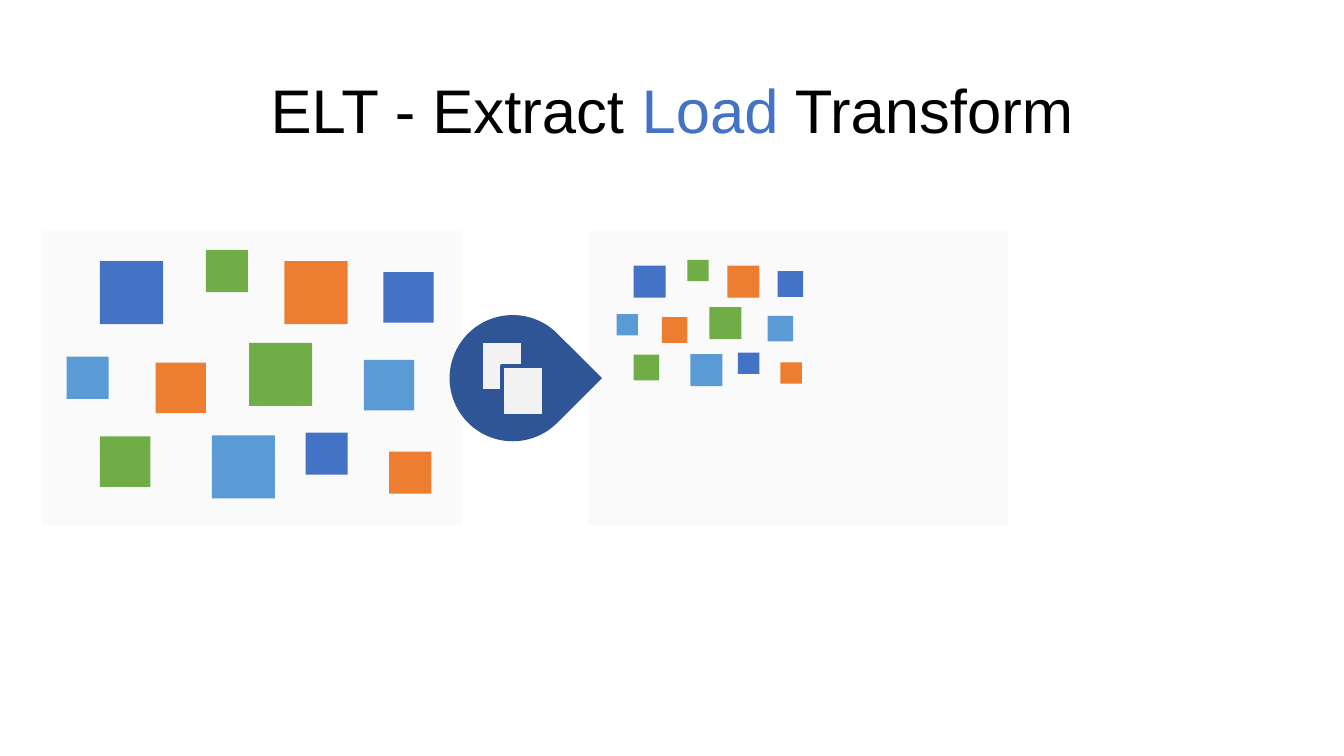
from pptx import Presentation
from pptx.dml.color import RGBColor
from pptx.enum.shapes import MSO_SHAPE as Preset
from pptx.enum.text import MSO_ANCHOR as Anchor, MSO_AUTO_SIZE as AutoSize, PP_ALIGN as Align
from pptx.util import Cm, Pt

BLACK = RGBColor(0x00, 0x00, 0x00)
BLUE = RGBColor(0x44, 0x72, 0xC4)
ORANGE = RGBColor(0xED, 0x7D, 0x31)
GREEN = RGBColor(0x70, 0xAD, 0x47)
SKY = RGBColor(0x5B, 0x9B, 0xD5)
NAVY = RGBColor(0x2F, 0x55, 0x97)
PANEL = RGBColor(0xFA, 0xFA, 0xFA)
CARD = RGBColor(0xF2, 0xF2, 0xF2)

LARGE, MEDIUM, SMALL = 1.59, 1.27, 1.06
PANEL_TOP, PANEL_WIDTH, PANEL_HEIGHT = 5.82, 10.58, 7.41
LOADED_SCALE = 0.508

# Left and top within the cluster, side, colour
DATA_SQUARES = [
    (0.84, 0.28, LARGE, BLUE), (7.98, 0.56, MEDIUM, BLUE), (6.02, 4.6, SMALL, BLUE),
    (2.24, 2.84, MEDIUM, ORANGE), (5.49, 0.28, LARGE, ORANGE), (8.13, 5.08, SMALL, ORANGE),
    (3.51, 0, SMALL, GREEN), (4.6, 2.34, LARGE, GREEN), (0.84, 4.7, MEDIUM, GREEN),
    (3.66, 4.67, LARGE, SKY), (0, 2.69, SMALL, SKY), (7.49, 2.77, MEDIUM, SKY),
]


def add_block(shapes, left, top, width, height, fill, preset=Preset.RECTANGLE, line=None):
    block = shapes.add_shape(preset, Cm(left), Cm(top), Cm(width), Cm(height))
    block.shadow.inherit = False
    block.fill.solid()
    block.fill.fore_color.rgb = fill
    if line is None:
        block.line.fill.background()
    else:
        block.line.color.rgb = line
        block.line.width = Pt(3)
    return block


def add_panel(shapes, left):
    add_block(shapes, left, PANEL_TOP, PANEL_WIDTH, PANEL_HEIGHT, PANEL)


def add_data_squares(shapes, left, top, scale=1):
    for x, y, side, colour in DATA_SQUARES:
        add_block(shapes, left + x * scale, top + y * scale, side * scale, side * scale, colour)


def add_copy_marker(page):
    """Add the drop that points to the target, with two overlapping cards on it."""
    drop = add_block(page.shapes, 11.33, 7.94, 3.18, 3.18, NAVY, Preset.TEAR)
    drop.rotation = 45
    cards = page.shapes.add_group_shape().shapes
    for left, top in ((12.12, 8.59), (12.65, 9.22)):
        add_block(cards, left, top, 1.06, 1.27, CARD, line=NAVY)


def add_span(para, text, size=44, colour=BLACK, font="Arial"):
    span = para.add_run()
    span.text = text
    span.font.size = Pt(size)
    span.font.name = font
    span.font.color.rgb = colour


def format_title(title):
    title.left, title.top, title.width, title.height = Cm(2.33), Cm(1.02), Cm(29.21), Cm(3.68)
    frame = title.text_frame
    frame.auto_size = AutoSize.NONE
    frame.vertical_anchor = Anchor.MIDDLE
    frame.margin_left = frame.margin_right = frame.margin_top = frame.margin_bottom = 0
    para = frame.paragraphs[0]
    para.alignment = Align.CENTER
    para.line_spacing = 0.9
    add_span(para, "ELT - Extract ")
    add_span(para, "Load", colour=BLUE)
    add_span(para, " Transform")


def main():
    deck = Presentation()
    deck.slide_width, deck.slide_height = Cm(33.87), Cm(19.05)
    page = deck.slides.add_slide(deck.slide_layouts[5])
    format_title(page.shapes.title)

    source = page.shapes.add_group_shape().shapes
    add_panel(source, 1.06)
    add_data_squares(source, 1.68, 6.3)

    add_panel(page.shapes, 14.82)
    add_copy_marker(page)
    loaded = page.shapes.add_group_shape().shapes
    add_data_squares(loaded, 15.54, 6.55, LOADED_SCALE)

    deck.save("out.pptx")


if __name__ == "__main__":
    main()
